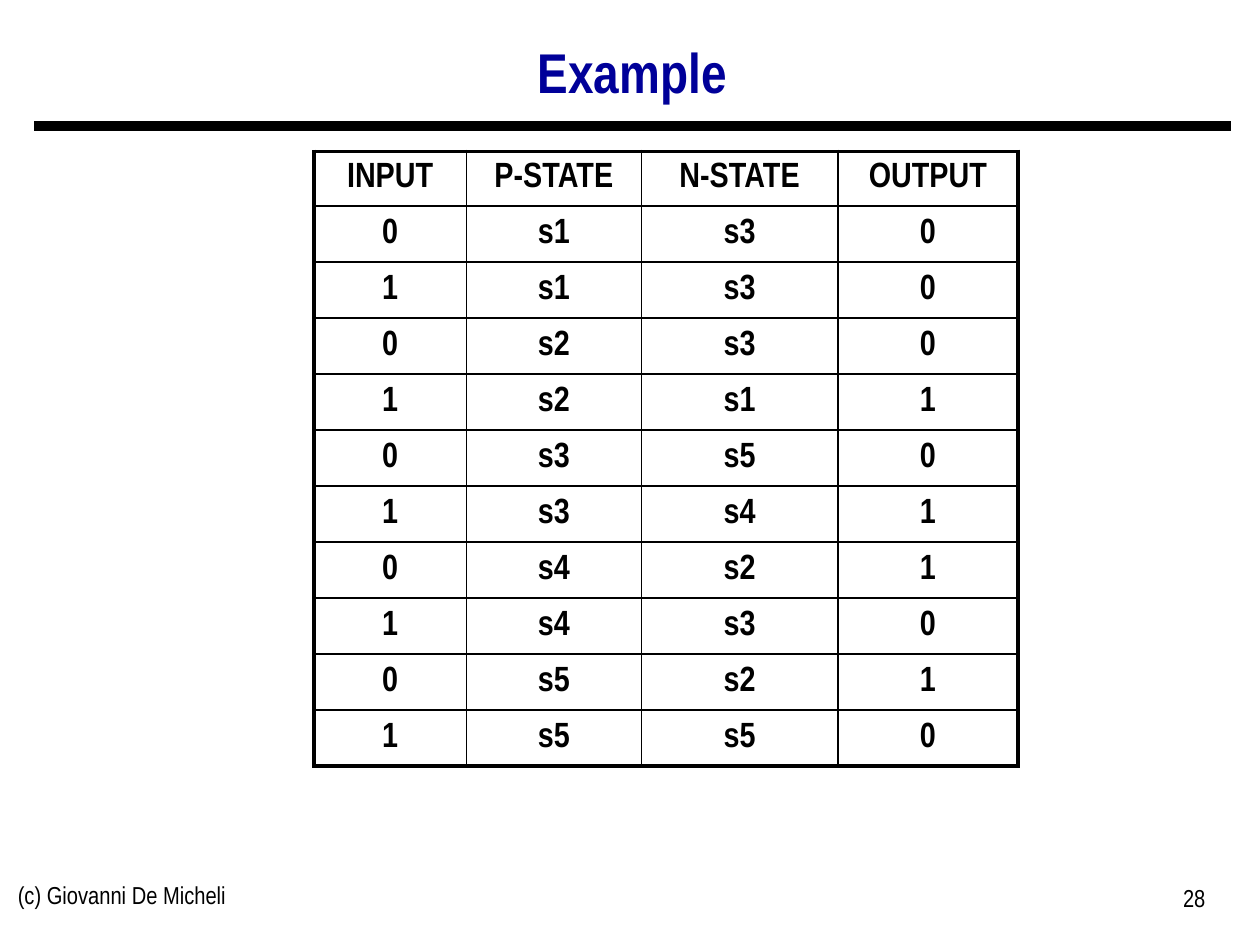
import pptx
import pptx.dml.color
import pptx.enum.shapes
import pptx.enum.text
import pptx.oxml
import pptx.oxml.ns
import pptx.util

Cm = pptx.util.Cm
Pt = pptx.util.Pt
Align = pptx.enum.text.PP_ALIGN
Anchor = pptx.enum.text.MSO_ANCHOR
FONT = "Arial Narrow"
BLACK = "000000"
NAVY = "000099"
THICK, THIN = 2.25, 1
WIDTHS = (3.07, 3.53, 3.96, 3.63)
HEAD, ROW = 1.09, 1.13
STATES = (
    ("INPUT", "P-STATE", "N-STATE", "OUTPUT"),
    ("0", "s1", "s3", "0"),
    ("1", "s1", "s3", "0"),
    ("0", "s2", "s3", "0"),
    ("1", "s2", "s1", "1"),
    ("0", "s3", "s5", "0"),
    ("1", "s3", "s4", "1"),
    ("0", "s4", "s2", "1"),
    ("1", "s4", "s3", "0"),
    ("0", "s5", "s2", "1"),
    ("1", "s5", "s5", "0"),
)


def color(code):
    return pptx.dml.color.RGBColor.from_string(code)


def write(frame, text, size, align, bold=False, code=BLACK, space=1.0):
    para = frame.paragraphs[0]
    para.alignment = align
    para.line_spacing = space
    run = para.add_run()
    run.text = text
    run.font.name = FONT
    run.font.size = Pt(size)
    run.font.bold = bold
    run.font.color.rgb = color(code)


def add_title(slide, text):
    title = slide.shapes.title
    title.left, title.top = Cm(0.67), Cm(0.56)
    title.width, title.height = Cm(24.16), Cm(1.9)
    title.text_frame.vertical_anchor = Anchor.MIDDLE
    write(title.text_frame, text, 32, Align.CENTER, True, NAVY, 0.9)


def add_rule(slide):
    kind = pptx.enum.shapes.MSO_CONNECTOR.STRAIGHT
    rule = slide.shapes.add_connector(kind, Cm(0.69), Cm(2.54), Cm(24.82), Cm(2.54))
    rule.line.color.rgb = color(BLACK)
    rule.line.width = Pt(6)
    props = rule._element.spPr
    props.append(pptx.oxml.parse_xml(f"<a:effectLst {pptx.oxml.ns.nsdecls('a')}/>"))


def add_note(slide, text, left, top, width, align):
    box = slide.shapes.add_textbox(Cm(left), Cm(top), Cm(width), Cm(1.32))
    box.text_frame.word_wrap = True
    write(box.text_frame, text, 14, align)


def add_edge(cell, side, width):
    cell._tc.get_or_add_tcPr().append(pptx.oxml.parse_xml(
        f'<a:{side} {pptx.oxml.ns.nsdecls("a")} w="{Pt(width)}">'
        f'<a:solidFill><a:srgbClr val="{BLACK}"/></a:solidFill></a:{side}>'
    ))


def fill_cell(cell, text, outer):
    for side, thick in outer.items():
        add_edge(cell, side, THICK if thick else THIN)
    cell.fill.background()
    cell.vertical_anchor = Anchor.MIDDLE
    write(cell.text_frame, text, 20, Align.CENTER, True)


def add_states(slide):
    rows, cols = len(STATES), len(WIDTHS)
    high = HEAD + ROW * (rows - 1)
    frame = slide.shapes.add_table(
        rows, cols, Cm(6.33), Cm(3.05), Cm(sum(WIDTHS)), Cm(high)
    )
    table = frame.table
    table.first_row = False
    table.horz_banding = False
    for col, width in zip(table.columns, WIDTHS):
        col.width = Cm(width)
    for r, values in enumerate(STATES):
        table.rows[r].height = Cm(ROW if r else HEAD)
        for c, text in enumerate(values):
            outer = {
                "lnL": c == 0,
                "lnR": c == cols - 1,
                "lnT": r == 0,
                "lnB": r == rows - 1,
            }
            fill_cell(table.cell(r, c), text, outer)


def main():
    deck = pptx.Presentation()
    deck.slide_width, deck.slide_height = Cm(25.4), Cm(19.05)
    slide = deck.slides.add_slide(deck.slide_layouts[5])
    add_rule(slide)
    add_note(slide, "(c) Giovanni De Micheli", 0.11, 17.61, 8.05, Align.LEFT)
    add_note(slide, "28", 18.63, 17.68, 5.92, Align.RIGHT)
    add_title(slide, "Example")
    add_states(slide)
    deck.save("out.pptx")


if __name__ == "__main__":
    main()
